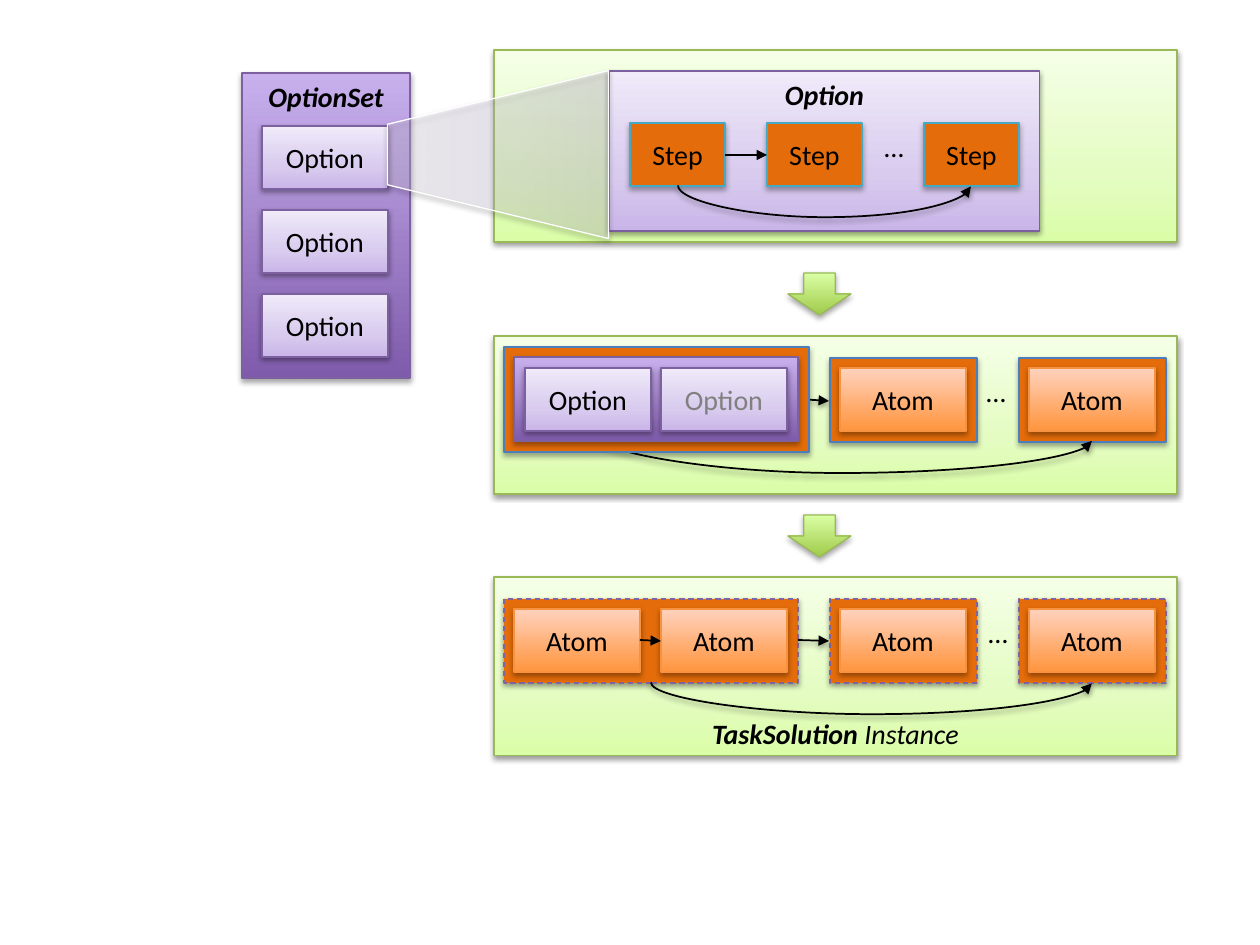
from lxml import etree
from pptx import Presentation
from pptx.dml.color import RGBColor
from pptx.enum.dml import MSO_LINE
from pptx.enum.shapes import MSO_CONNECTOR, MSO_SHAPE
from pptx.enum.text import MSO_ANCHOR, PP_ALIGN
from pptx.oxml import parse_xml
from pptx.oxml.ns import qn
from pptx.util import Pt

PX = 914400 // 126
RECT, DOWN, TRAP = MSO_SHAPE.RECTANGLE, MSO_SHAPE.DOWN_ARROW, MSO_SHAPE.TRAPEZOID
STRAIGHT, CURVE = MSO_CONNECTOR.STRAIGHT, MSO_CONNECTOR.CURVE
TOP, MIDDLE, BOTTOM = MSO_ANCHOR.TOP, MSO_ANCHOR.MIDDLE, MSO_ANCHOR.BOTTOM
LEFT, CENTER = PP_ALIGN.LEFT, PP_ALIGN.CENTER
DASH = MSO_LINE.DASH
NS = 'xmlns:a="http://schemas.openxmlformats.org/drawingml/2006/main"'

BLACK = RGBColor(0x00, 0x00, 0x00)
GRAY = RGBColor(0x80, 0x80, 0x80)
WHITE = RGBColor(0xFF, 0xFF, 0xFF)
ORANGE = RGBColor(0xE4, 0x6C, 0x0A)
GREEN = RGBColor(0x98, 0xB9, 0x55)
PURPLE = RGBColor(0x7D, 0x60, 0xA0)
VIOLET = RGBColor(0x80, 0x64, 0xA2)
BLUE = RGBColor(0x4B, 0x7E, 0xBC)
TEAL = RGBColor(0x46, 0xAA, 0xC5)
PEACH = RGBColor(0xF6, 0x92, 0x40)

# Gradient stops run from bottom to top.
LIME = ((0, "DAFDA7"), (35, "E4FCC2"), (100, "F5FFE7"))
LILAC = ((0, "C9B5E8"), (35, "D8CBEE"), (100, "F0EAF9"))
PLUM = ((0, "7F5BAB"), (100, "C8B0ED"))
APRICOT = ((0, "FF953E"), (100, "FFD2BD"))
LEAF = ((0, "A0CA4A"), (100, "DAFFA5"))

# Looks: fill, line, shadow strength in percent
PANEL = (LIME, GREEN, 38)
CARD = (LILAC, PURPLE, 38)
SET = (PLUM, PURPLE, 35)
ATOM = (APRICOT, PEACH, 35)
STEP = (ORANGE, TEAL, 35)
FRAME = (ORANGE, BLUE, 35)
DASHED = (ORANGE, VIOLET, 38)
ARROW = (LEAF, GREEN, 35)

BOX_W, BOX_H, STEP_W, PAD = 126, 63, 95, 10
PANEL_X, PANEL_W = 494, 683
FRAME_W, FRAME_H = 147, 84
OPT_Y = (126, 210, 294)
STEP_X, STEP_Y = (630, 767, 924), 123
ATOM_X = (840, 1029)
ROW2_Y, ROW3_Y = 368, 609
DOTS = ((872, 123), (974, 368), (976, 609))
PLAIN = dict(bold=False, italic=False)
HEAD = dict(bold=True, italic=True)

prs = Presentation()
prs.slide_width, prs.slide_height = 1260 * PX, 945 * PX
slide = prs.slides.add_slide(prs.slide_layouts[6])
shapes = slide.shapes


def write(shape, *runs, color=BLACK, anchor=MIDDLE, align=CENTER, wrap=True):
    """Fill a shape with runs of (text, font flags)."""
    frame = shape.text_frame
    frame.word_wrap, frame.vertical_anchor = wrap, anchor
    para = frame.paragraphs[0]
    para.alignment = align
    for text, flags in runs:
        run = para.add_run()
        run.text = text
        font = run.font
        font.size, font.name, font.color.rgb = Pt(16), "Calibri", color
        font.bold, font.italic = flags["bold"], flags["italic"]


def shade(part, depth):
    """Add a soft shadow below; a depth of 0 means none."""
    dist = 20000 if depth == 38 else 23000
    glow = (f'<a:outerShdw blurRad="40000" dist="{dist}" dir="5400000" rotWithShape="0">'
            f'<a:srgbClr val="000000"><a:alpha val="{depth * 1000}"/></a:srgbClr>'
            '</a:outerShdw>') if depth else ""
    part._element.spPr.append(parse_xml(f'<a:effectLst {NS}>{glow}</a:effectLst>'))


def blend(shape, stops, alpha):
    """Give a shape a vertical gradient."""
    items = "".join(
        f'<a:gs pos="{pos * 1000}"><a:srgbClr val="{tone}">'
        f'<a:alpha val="{alpha * 1000}"/></a:srgbClr></a:gs>' for pos, tone in stops)
    shape._element.spPr.append(parse_xml(
        f'<a:gradFill {NS} rotWithShape="1"><a:gsLst>{items}</a:gsLst>'
        '<a:lin ang="16200000" scaled="0"/></a:gradFill>'))


def box(x, y, w, h, look, kind=RECT, dash=None, alpha=100):
    """Draw a shape in one of the looks."""
    fill, line, depth = look
    shape = shapes.add_shape(kind, x * PX, y * PX, w * PX, h * PX)
    if isinstance(fill, RGBColor):
        shape.fill.solid()
        shape.fill.fore_color.rgb = fill
    else:
        blend(shape, fill, alpha)
    shape.line.color.rgb, shape.line.width = line, Pt(0.75)
    if dash:
        shape.line.dash_style = dash
    shade(shape, depth)
    return shape


def label(x, y, text, look, w=BOX_W, color=BLACK):
    """Draw a small box with a word in it."""
    write(box(x, y, w, BOX_H, look), (text, PLAIN), color=color)


def link(x1, y1, x2, y2, kind=STRAIGHT, depth=0):
    """Draw a black arrow."""
    line = shapes.add_connector(kind, x1 * PX, y1 * PX, x2 * PX, y2 * PX)
    line.line.color.rgb, line.line.width = BLACK, Pt(1)
    stroke = line._element.spPr.find(qn("a:ln"))
    etree.SubElement(stroke, qn("a:tailEnd"), type="triangle")
    shade(line, depth)
    return line


def swing(x1, y1, x2, y2, drop):
    """Draw an arrow that sags below both ends by a given drop."""
    line = link(x1, y1, x2, y2, CURVE, 38)
    w, h = max(y2 - y1, 1), x2 - x1
    line.left = int(((x1 + x2) - w) / 2 * PX)
    line.top = int(((y1 + y2) - h) / 2 * PX)
    line.width, line.height = w * PX, h * PX
    props = line._element.spPr
    turn = props.find(qn("a:xfrm"))
    turn.set("rot", "16200000")
    turn.set("flipH", "1")
    guides = props.find(qn("a:prstGeom")).find(qn("a:avLst"))
    etree.SubElement(guides, qn("a:gd"), name="adj1", fmla=f"val {drop * 100000 // w}")


# Solution instance
panel = box(PANEL_X, 577, PANEL_W, 179, PANEL)
write(panel, ("TaskSolution ", HEAD), ("Instance", dict(bold=False, italic=True)),
      anchor=BOTTOM)
for x, w in ((504, 294), *((x - PAD, FRAME_W) for x in ATOM_X)):
    box(x, ROW3_Y - PAD, w, FRAME_H, DASHED, dash=DASH)
for x in (514, 661, *ATOM_X):
    label(x, ROW3_Y, "Atom", ATOM)
swing(651, 683, 1092, 683, 32)
link(640, 640, 661, 641)
link(798, 640, 829, 641, depth=38)

# Partly chosen solution
box(PANEL_X, 336, PANEL_W, 158, PANEL)
for x in ATOM_X:
    box(x - PAD, ROW2_Y - PAD, FRAME_W, FRAME_H, FRAME)
    label(x, ROW2_Y, "Atom", ATOM)
swing(588, 431, 1092, 441, 42)
link(798, 399, 829, 401, depth=38)
box(504, 347, 305, 105, FRAME)
box(514, 357, 284, 84, SET)
for x, color in ((525, BLACK), (661, GRAY)):
    label(x, ROW2_Y, "Option", CARD, color=color)

for y in (273, 515):
    box(788, y, 63, 42, ARROW, kind=DOWN)

# Set of options
write(box(242, 73, 168, 305, SET), ("OptionSet", HEAD), anchor=TOP)
for y in OPT_Y:
    label(262, y, "Option", CARD)

# Steps of one option
box(PANEL_X, 50, PANEL_W, 192, PANEL)
write(box(609, 71, 431, 160, CARD), ("Option", HEAD), anchor=TOP)
for x in STEP_X:
    label(x, STEP_Y, "Step", STEP, w=STEP_W)
swing(678, 186, 971, 186, 32)
link(725, 155, 767, 155)
for x, y in DOTS:
    dots = shapes.add_textbox(x * PX, y * PX, 45 * PX, 47 * PX)
    write(dots, ("…", PLAIN), anchor=TOP, align=LEFT, wrap=False)
zoom = box(414, 44, 168, 221, (LILAC, WHITE, 38), kind=TRAP, alpha=25)
zoom.adjustments[0], zoom.rotation = 0.32, 270

prs.save("out.pptx")
